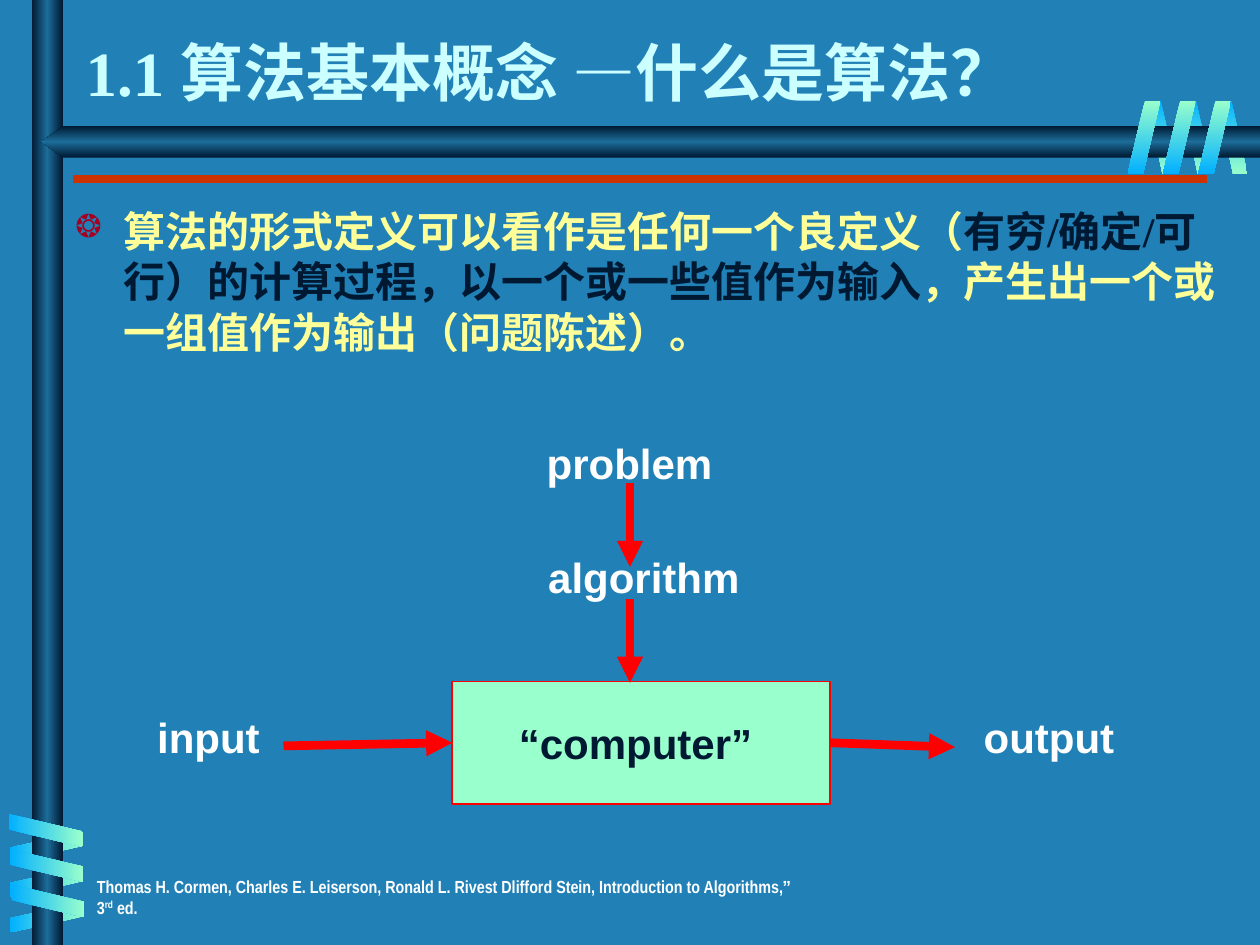
"""Build the slide that defines what an algorithm is."""
from lxml import etree
from pptx import Presentation
from pptx.dml.color import RGBColor
from pptx.enum import shapes, text
from pptx.oxml import ns, parse_xml
from pptx.util import Inches, Pt

COLORS = {
    "back": "2181B7", "navy": "001932", "steel": "1C6D9A", "sky": "01B0FF",
    "mint": "99FFCC", "rust": "CC3300", "red": "FF0000", "white": "FFFFFF",
    "ice": "CCFFFF", "yellow": "FFFF99", "bullet": "A50021",
}
TITLE = [("1.1 算法基本概念 ", {}), ("—", {"font": "Arial"}), ("什么是算法？", {})]
DEFINITION = [
    ("算法的形式定义可以看作是任何一个良定义（", {}),
    ("有穷/确定/可行）的计算过程，以一个或一些值作为输入", {"color": "navy"}),
    ("，产生出一个或一组值作为输出（问题陈述）。", {}),
]
CITATION = [
    ("Thomas H. Cormen, Charles E. Leiserson, Ronald L. Rivest Dlifford Stein, "
     "Introduction to Algorithms,", {}),
    ("”", {"font": "Arial"}), (" 3", {}), ("rd", {"raised": True}), (" ed.", {}),
]
COMPUTER = ("“computer” ", (3.59, 5.41, 3, 0.97))
LABELS = [
    (" problem", (4.11, 3.42, 1.68, 0.58), True),
    ("algorithm", (4.25, 4.33, 1.72, 0.58), False),
    ("input", (1, 5.6, 1.31, 0.58), True),
    ("output", (7.67, 5.6, 1.31, 0.58), True),
]
DOWN_ARROWS = [((5, 3.83), (5, 4.5)), ((5, 4.75), (5, 5.42))]
INPUT_START, OUTPUT_END = (2.25, 5.92), (7.58, 5.93)
COIL_STEP, COIL_TURNS, COIL_LENGTH = 0.28, 3, 0.58
TUBE = ("navy", "steel", "navy")


def rgb(name):
    return RGBColor.from_string(COLORS[name])


def place(shape, area):
    shape.left, shape.top, shape.width, shape.height = map(Inches, area)


def write(shape, spans, size=24, font="Arial", color="white", align="CENTER",
          anchor="TOP", wrap=True, grow=False):
    frame = shape.text_frame
    frame.word_wrap = wrap
    frame.auto_size = getattr(text.MSO_AUTO_SIZE, "SHAPE_TO_FIT_TEXT" if grow else "NONE")
    frame.vertical_anchor = getattr(text.MSO_ANCHOR, anchor)
    para = frame.paragraphs[0]
    para.alignment = getattr(text.PP_ALIGN, align)
    for words, change in spans:
        span = para.add_run()
        span.text = words
        span.font.name = change.get("font", font)
        span.font.size = Pt(size)
        span.font.bold = True
        span.font.color.rgb = rgb(change.get("color", color))
        if change.get("raised"):
            span.font._element.set("baseline", "30000")
    return para


def add_text(page, area, spans, **style):
    box = page.shapes.add_textbox(*map(Inches, area))
    return write(box, spans, **style)


def add_shape(page, kind, area):
    shape = page.shapes.add_shape(getattr(shapes.MSO_SHAPE, kind), *map(Inches, area))
    shape.shadow.inherit = False
    return shape


def add_gradient(page, kind, area, stops, angle, turn=0, flip=False, adjust=None):
    shape = add_shape(page, kind, area)
    shape.line.fill.background()
    shape.rotation = turn
    if flip:
        shape._element.spPr.xfrm.set("flipH", "1")
    if adjust:
        shape.adjustments[0] = adjust
    marks = "".join(
        f'<a:gs pos="{100000 * i // (len(stops) - 1)}"><a:srgbClr val="{COLORS[name]}"/></a:gs>'
        for i, name in enumerate(stops))
    shape.fill.background()
    blank = shape._element.spPr.find(ns.qn("a:noFill"))
    blank.getparent().replace(blank, parse_xml(
        f'<a:gradFill {ns.nsdecls("a")} rotWithShape="0"><a:gsLst>{marks}</a:gsLst>'
        f'<a:lin ang="{angle * 60000}" scaled="0"/></a:gradFill>'))


def add_coil(page, left, top, dx, dy, thick, stops, angle, **style):
    for turn in range(COIL_TURNS):
        area = (left + dx * turn, top + dy * turn, thick, COIL_LENGTH)
        add_gradient(page, "PARALLELOGRAM", area, stops, angle, adjust=0.53, **style)


def add_line(page, start, end, color="red", width=5, arrow=True):
    line = page.shapes.add_connector(
        shapes.MSO_CONNECTOR.STRAIGHT, *map(Inches, (*start, *end)))
    line.line.color.rgb = rgb(color)
    line.line.width = Pt(width)
    if arrow:
        etree.SubElement(line.line._get_or_add_ln(), ns.qn("a:tailEnd"), type="triangle")
    etree.SubElement(line._element.spPr, ns.qn("a:effectLst"))
    return line


def add_bullet(para, symbol, color, percent, indent):
    props = para._p.get_or_add_pPr()
    props.set("marL", str(Inches(indent)))
    props.set("indent", str(-Inches(indent)))
    before = etree.SubElement(props, ns.qn("a:spcBef"))
    etree.SubElement(before, ns.qn("a:spcPct"), val="20000")
    tint = etree.SubElement(props, ns.qn("a:buClr"))
    etree.SubElement(tint, ns.qn("a:srgbClr"), val=COLORS[color])
    etree.SubElement(props, ns.qn("a:buSzPct"), val=str(percent * 1000))
    etree.SubElement(props, ns.qn("a:buChar"), char=symbol)


def add_frame(page):
    cool, warm = ("sky", "mint"), ("mint", "sky")
    add_coil(page, 9.66, 0.8, -COIL_STEP, 0, 0.24, cool, 90, turn=180, flip=True)
    add_coil(page, 0.25, 6.43, 0, COIL_STEP, 0.24, warm, 0, turn=90, flip=True)
    add_gradient(page, "RECTANGLE", (0.25, 0, 0.25, 7.5), TUBE, 0)
    add_gradient(page, "PENTAGON", (0.33, 1, 9.67, 0.25), TUBE, 90, flip=True, adjust=0.68)
    add_coil(page, 0.23, 6.3, 0.01, COIL_STEP, 0.26, cool, 0, turn=270)
    add_coil(page, 9.51, 0.8, -COIL_STEP, 0, 0.26, warm, 90)
    add_text(page, (0.67, 6.9, 5.75, 0.33), CITATION, size=10, font="Arial Narrow",
             align="LEFT")
    add_line(page, (0.58, 1.42), (9.58, 1.42), color="rust", width=4.5, arrow=False)


def add_diagram(page):
    name, area = COMPUTER
    computer = add_shape(page, "RECTANGLE", area)
    computer.fill.solid()
    computer.fill.fore_color.rgb = rgb("mint")
    computer.line.color.rgb = rgb("red")
    computer.line.width = Pt(1)
    write(computer, [(name, {})], color="navy", anchor="MIDDLE", wrap=False)
    for words, spot, wrap in LABELS:
        add_text(page, spot, [(words, {})], wrap=wrap, grow=True)
    for start, end in DOWN_ARROWS:
        add_line(page, start, end)
    add_line(page, INPUT_START, INPUT_START).end_connect(computer, 1)
    add_line(page, OUTPUT_END, OUTPUT_END).begin_connect(computer, 3)


def main():
    deck = Presentation()
    deck.slide_width, deck.slide_height = Inches(10), Inches(7.5)
    page = deck.slides.add_slide(deck.slide_layouts[5])
    page.background.fill.solid()
    page.background.fill.fore_color.rgb = rgb("back")
    add_frame(page)
    title = page.shapes.title
    place(title, (0.58, 0, 8.5, 0.92))
    write(title, TITLE, size=36, font="Times New Roman", color="ice", align="LEFT",
          anchor="BOTTOM")
    para = add_text(page, (0.5, 1.58, 9.25, 5.67), DEFINITION, font="Times New Roman",
                    color="yellow", align="LEFT")
    add_bullet(para, "❂", "bullet", 75, 0.38)
    add_diagram(page)
    deck.save("out.pptx")


if __name__ == "__main__":
    main()
